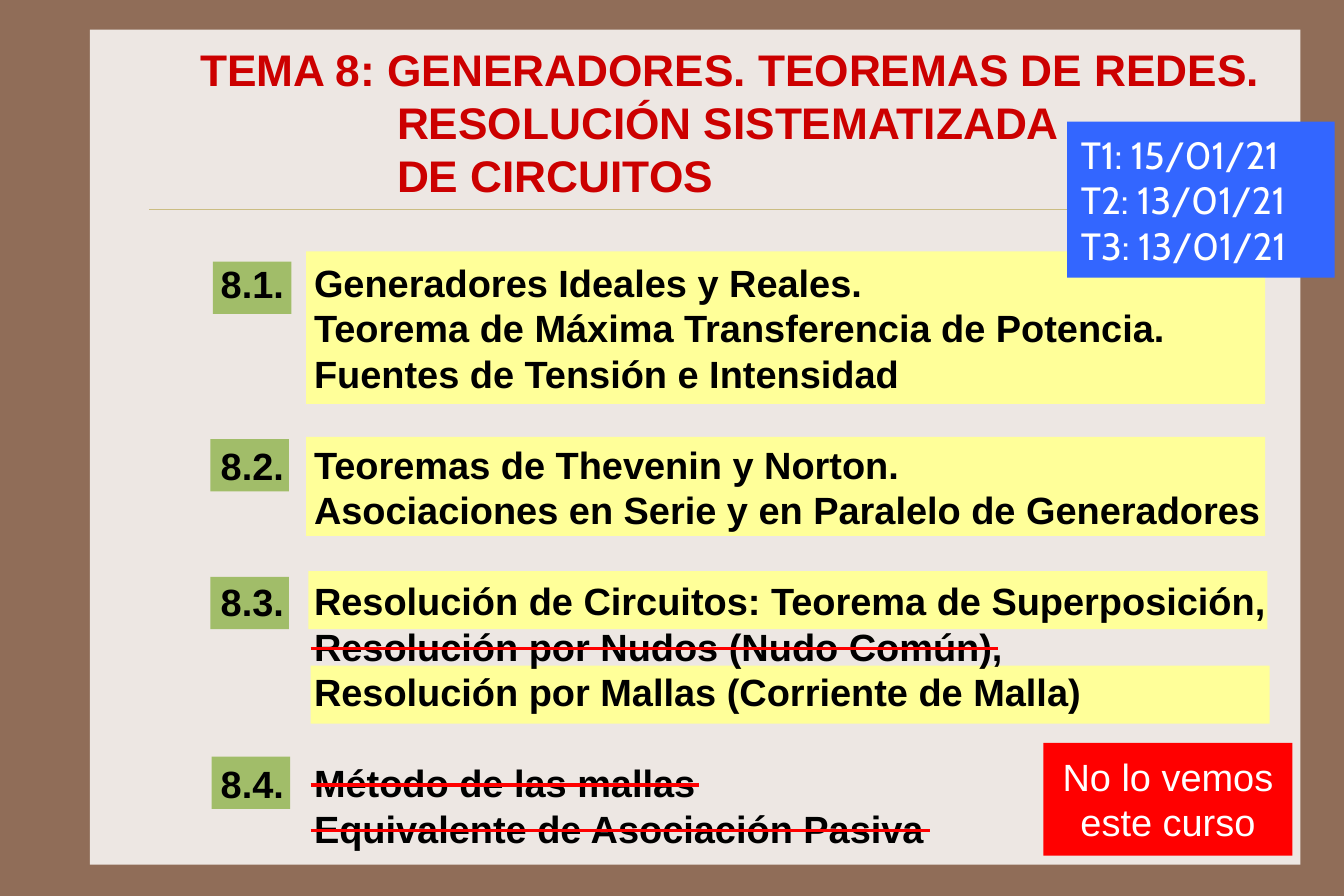
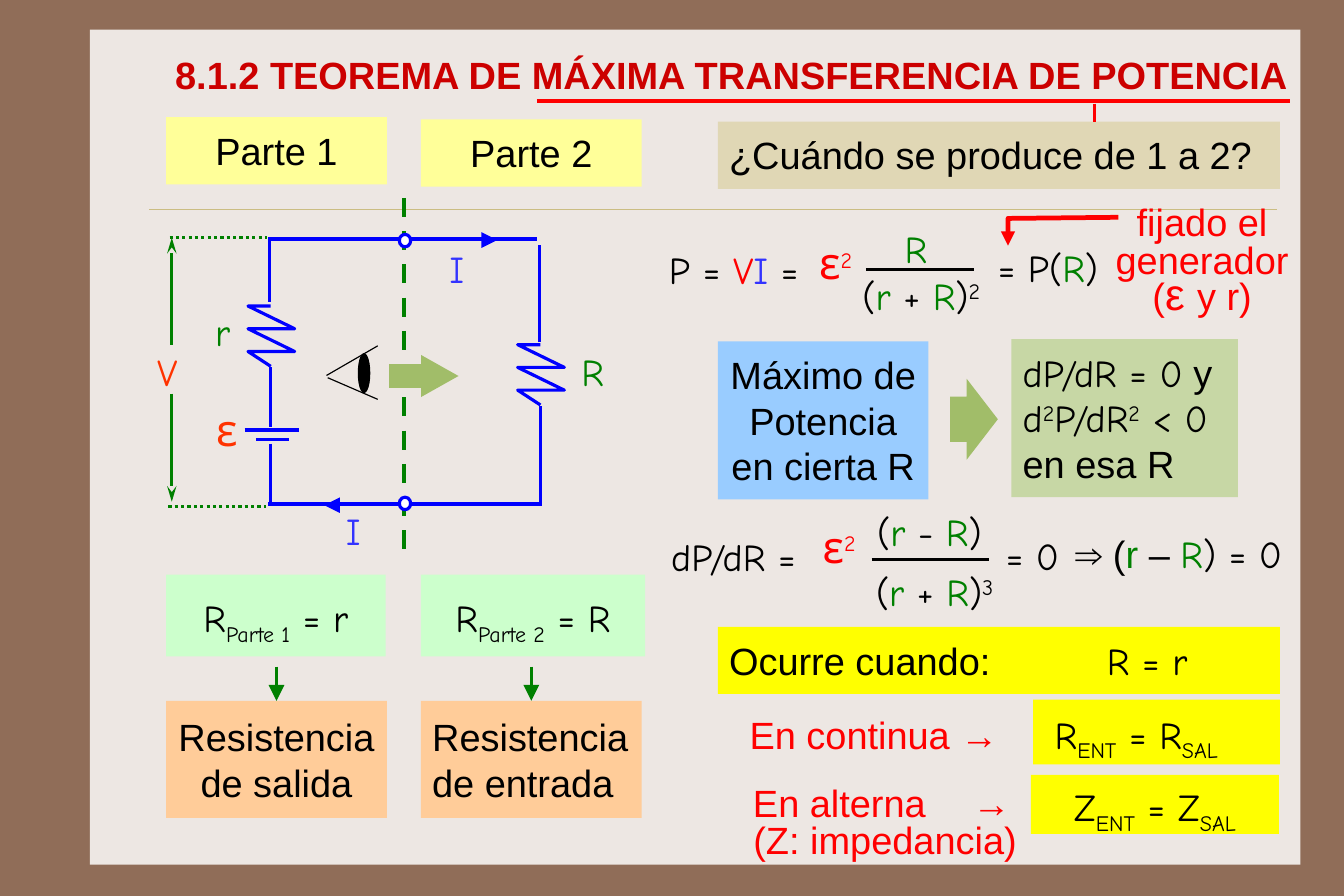
"""Build two slides on generators and the maximum power transfer theorem."""
from dataclasses import dataclass
from typing import NamedTuple, Optional, Union

from lxml import etree
from pptx import Presentation
from pptx.dml.color import RGBColor
from pptx.enum.dml import MSO_LINE
from pptx.enum.shapes import MSO_CONNECTOR, MSO_SHAPE
from pptx.enum.text import MSO_ANCHOR, PP_ALIGN
from pptx.oxml.ns import qn
from pptx.util import Inches, Pt

STRAIGHT = MSO_CONNECTOR.STRAIGHT
RECTANGLE, ELLIPSE, ARROW = MSO_SHAPE.RECTANGLE, MSO_SHAPE.OVAL, MSO_SHAPE.RIGHT_ARROW
LEFT, CENTER = PP_ALIGN.LEFT, PP_ALIGN.CENTER
TOP, MIDDLE = MSO_ANCHOR.TOP, MSO_ANCHOR.MIDDLE
DASH, DOTS = MSO_LINE.DASH, MSO_LINE.ROUND_DOT

CELL = Inches(0.1)
SLIDE_WIDTH, SLIDE_HEIGHT = Pt(850.5), Pt(567)
LEADING = 1.2
SANS, COMIC, CABIN = "Arial", "Comic Neue", "Cabin"
COLORS = {
    "frame": "906D58", "panel": "EDE7E3", "rule": "CBBD83", "title": "CC0000", "ink": "000000",
    "white": "FFFFFF", "red": "FF0000", "orange": "FF3300", "green": "008000", "wire": "0000FF",
    "current": "3333FF", "olive": "A1BD69", "pale yellow": "FFFF99", "yellow": "FFFF00",
    "dates": "3366FF", "mint": "CCFFCC", "peach": "FFCC99", "sand": "E0D7B5", "sage": "C7D7A5",
    "sky": "99CCFF",
}


class Run(NamedTuple):
    """Text whose unset values come from its label."""
    text: str
    color: Optional[str] = None
    font: Optional[str] = None
    size: Optional[int] = None
    baseline: int = 0


class Line(NamedTuple):
    """A paragraph with its own spacing."""
    runs: tuple
    gap: int = 0
    indent: float = 0
    spacing: Optional[float] = None
    tab: float = 0


@dataclass
class Label:
    """A text in a box of grid cells, on a rectangle when fill is set."""
    box: tuple
    lines: tuple[Union[str, Line], ...]
    fill: Optional[str] = None
    color: str = "ink"
    font: str = SANS
    size: int = 24
    bold: bool = False
    align: PP_ALIGN = LEFT
    anchor: MSO_ANCHOR = TOP
    insets: tuple = (1, 0.9)
    wrap: bool = False


def color_of(name: str) -> RGBColor:
    """Look up a named colour."""
    return RGBColor.from_string(COLORS[name])


def cells(*values: float) -> list[int]:
    """Turn grid cells into lengths."""
    return [int(round(value * CELL)) for value in values]


def style_line(shape, color: str, width: float, head: tuple = ()) -> None:
    """Set the colour, width and arrowhead of a line."""
    shape.line.color.rgb = color_of(color)
    shape.line.width = Pt(width)
    if head:
        etree.SubElement(shape.line._get_or_add_ln(), qn("a:tailEnd"), dict(zip(("type", "w", "len"), head)))


def draw_shape(slide, kind, box: tuple, fill: str, outline: float = 0, color: str = "ink", adjustments=()):
    """Draw a flat preset shape."""
    shape = slide.shapes.add_shape(kind, *cells(*box))
    shape.shadow.inherit = False
    shape.fill.solid()
    shape.fill.fore_color.rgb = color_of(fill)
    if outline:
        style_line(shape, color, outline)
    else:
        shape.line.fill.background()
    for index, value in enumerate(adjustments):
        shape.adjustments[index] = value
    return shape


def draw_wire(slide, start: tuple, end: tuple, color="wire", width: float = 2, dash=None, head=()):
    """Draw a straight connector."""
    connector = slide.shapes.add_connector(STRAIGHT, *cells(*start, *end))
    etree.SubElement(connector._element.spPr, qn("a:effectLst"))
    if dash:
        connector.line.dash_style = dash
    style_line(connector, color, width, head)
    return connector


def draw_outline(slide, points: list, color: str, width: float, head: tuple = ()) -> None:
    """Draw an open line through points."""
    corners = [tuple(cells(*point)) for point in points]
    builder = slide.shapes.build_freeform(*corners[0])
    shape = builder.add_line_segments(corners[1:], close=False).convert_to_shape()
    shape.shadow.inherit = False
    shape.fill.background()
    style_line(shape, color, width, head)


def fill_paragraph(paragraph, line: Line, label: Label) -> None:
    """Write the runs of one paragraph."""
    runs = [Run(run) if isinstance(run, str) else run for run in line.runs]
    leading = Pt(LEADING * max(run.size or label.size for run in runs))
    formats = {"alignment": label.align, "line_spacing": line.spacing or leading,
               "space_before": line.gap * leading}
    for name, value in formats.items():
        setattr(paragraph, name, value)
    properties = paragraph._p.get_or_add_pPr()
    if line.indent:
        properties.set("marL", str(cells(line.indent)[0]))
    if line.tab:
        tabs = etree.SubElement(properties, qn("a:tabLst"))
        etree.SubElement(tabs, qn("a:tab"), pos=str(cells(line.tab)[0]), algn="l")
    for run in runs:
        piece = paragraph.add_run()
        piece.text = run.text
        formats = {"name": run.font or label.font, "size": Pt(run.size or label.size), "bold": label.bold}
        for name, value in formats.items():
            setattr(piece.font, name, value)
        piece.font.color.rgb = color_of(run.color or label.color)
        if run.baseline:
            piece._r.get_or_add_rPr().set("baseline", str(run.baseline * 1000))


def draw_label(slide, label: Label):
    """Draw a label and return its shape."""
    if label.fill:
        shape = draw_shape(slide, RECTANGLE, label.box, label.fill)
    else:
        shape = slide.shapes.add_textbox(*cells(*label.box))
    frame = shape.text_frame
    side, edge = cells(*label.insets)
    formats = {"word_wrap": label.wrap, "vertical_anchor": label.anchor, "margin_left": side,
               "margin_right": side, "margin_top": edge, "margin_bottom": edge}
    for name, value in formats.items():
        setattr(frame, name, value)
    for index, line in enumerate(label.lines):
        paragraph = frame.add_paragraph() if index else frame.paragraphs[0]
        fill_paragraph(paragraph, Line((line,)) if isinstance(line, str) else line, label)
    return shape


def draw_formula(slide, left: float, top: float, width: float, *runs) -> None:
    """Draw one line of a formula."""
    draw_label(slide, Label((left, top, width, 4.9), (Line(runs),), font=COMIC, insets=(0.8, 0.4)))


def add_framed_slide(presentation, title_box: tuple, size: int, *title):
    """Add a slide with the shared frame, panel, rule and title style."""
    slide = presentation.slides.add_slide(presentation.slide_layouts[6])
    slide.background.fill.solid()
    slide.background.fill.fore_color.rgb = color_of("frame")
    draw_shape(slide, RECTANGLE, (7.9, 2.6, 106.4, 73.4), "panel")
    draw_wire(slide, (13.1, 18.4), (112.2, 18.4), "rule", 0.25)
    draw_label(slide, Label(title_box, title, color="title", size=size, bold=True, anchor=MIDDLE,
                            insets=(1.1, 0.5), wrap=True))
    return slide


def build_contents(presentation) -> None:
    """Build the slide with the contents of the unit."""
    slide = add_framed_slide(
        presentation, (16.5, 3.1, 97.3, 15.2), 28, "TEMA 8: GENERADORES. TEOREMAS DE REDES.",
        Line(("RESOLUCIÓN SISTEMATIZADA",), indent=17.3), Line(("DE CIRCUITOS",), indent=17.3))
    for left, top, height in ((27.3, 58.5, 5.1), (27.1, 50.2, 5.1), (26.9, 22.1, 13.4), (26.9, 38.4, 8.7)):
        draw_shape(slide, RECTANGLE, (left, top, 84.3, height), "pale yellow")
    for left, top in ((18.6, 66.5), (18.5, 50.7), (18.5, 38.6), (18.7, 23)):
        draw_shape(slide, RECTANGLE, (left, top, 6.9, 4.6), "olive")
    numbers = tuple(Line((f"8.{index}.",), gap) for index, gap in enumerate((0, 3, 2, 3), start=1))
    topics = (
        "Generadores Ideales y Reales.",
        "Teorema de Máxima Transferencia de Potencia. Fuentes de Tensión e Intensidad",
        Line(("Teoremas de Thevenin y Norton.",), 1),
        "Asociaciones en Serie y en Paralelo de Generadores",
        Line(("Resolución de Circuitos: Teorema de Superposición,",), 1),
        "Resolución por Nudos (Nudo Común),",
        "Resolución por Mallas (Corriente de Malla)",
        Line(("Método de las mallas",), 1),
        "Equivalente de Asociación Pasiva",
    )
    for box, lines in (((18.3, 22.4, 8.2, 49.6), numbers), ((26.5, 22.3, 87.2, 53.6), topics)):
        draw_label(slide, Label(box, lines, bold=True, insets=(1.1, 0.5), wrap=True))
    draw_label(slide, Label((93.8, 10.7, 23.5, 13.7), ("T1: 15/01/21", "T2: 13/01/21", "T3: 13/01/21"),
                            "dates", "white", CABIN, anchor=MIDDLE, insets=(1.2, 0.8)))
    draw_label(slide, Label((91.7, 65.3, 21.9, 9.9), ("No lo vemos este curso",), "red", "white",
                            align=CENTER, wrap=True))
    for end, top in ((87.7, 57), (61.4, 69), (81.7, 73)):
        draw_wire(slide, (27.3, top), (end, top), "red")


def draw_circuit(slide) -> None:
    """Draw the generator, its load and the observer."""
    for start, end in (
            ((35.4, 21), (47.2, 21)), ((35.8, 44.3), (47.6, 44.3)), ((47.5, 44.3), (47.5, 35.7)),
            ((47.4, 30.1), (47.4, 21.5)), ((23.6, 44.3), (35.4, 44.3)), ((23.6, 21), (35.4, 21)),
            ((21.5, 37.8), (26.3, 37.8)), ((22.5, 38.6), (25.4, 38.6)), ((23.8, 37.5), (23.8, 32.3)),
            ((23.8, 39), (23.8, 44.3)), ((23.7, 26.5), (23.7, 21.2))):
        draw_wire(slide, start, end)
    for start, end in (((42.7, 21.1), (43.7, 21.1)), ((29.1, 44.4), (28.5, 44.4))):
        draw_wire(slide, start, end, width=1, head=("triangle", "lg", "lg"))
    for top, left, start, end in ((20.9, 14.9, 30.3, 20.9), (44.5, 14.8, 34.6, 44.1)):
        draw_wire(slide, (left, top), (left + 8.6, top), "green", dash=DOTS)
        draw_wire(slide, (15.1, start), (15.1, end), "green", head=("stealth", "med", "lg"))
    for center, top in ((47.5, 30.3), (23.8, 26.9)):
        zigzag = [(center + side, top + 2 * step) for step in range(3)
                  for side in ((2.1, -2) if step else (0, -2))]
        draw_outline(slide, zigzag + [(center, top + 5.3)], "wire", 2)
    for top in (20.6, 43.7):
        draw_shape(slide, ELLIPSE, (35.1, top, 1, 1.1), "white", 2, "wire")
    for left, top, run in (
            (50.3, 30.2, Run("R", "green")), (18.2, 35, Run("ε", "orange", size=28)),
            (18.1, 26.7, Run("r", "green")), (13, 30.2, Run("V", "orange")),
            (38.7, 21.2, Run("I", "current")), (29.6, 44.2, Run("I", "current"))):
        draw_formula(slide, left, top, 3.8, run)
    draw_shape(slide, ARROW, (34.2, 31.2, 6.1, 3.7), "olive", adjustments=(0.56, 0.89))
    for start, end in (((33.2, 30.4), (28.7, 33)), ((28.8, 33.2), (33.2, 35.1))):
        draw_wire(slide, start, end, "ink", 0.75)
    draw_shape(slide, ELLIPSE, (31.5, 31.1, 1, 3.4), "ink", 0.75)


def bracket(sign: str, *power: Run) -> tuple:
    """Give the runs of a bracketed sum of both resistances."""
    return ("(", Run("r ", "green"), f"{sign} ", Run("R", "green"), ")", *power)


def draw_formulas(slide) -> None:
    """Draw the power and its derivative."""
    resistance = Run("R", "green")
    draw_formula(slide, 58, 21.3, 15.9, "P = ", Run("V", "red"), Run("I", "current"), " =")
    draw_formula(slide, 78.7, 19.4, 4.1, resistance)
    draw_formula(slide, 75, 23.6, 12.9, *bracket("+", Run("2", baseline=30)))
    draw_formula(slide, 86.9, 21.1, 10.7, "= P(", resistance, ")")
    draw_formula(slide, 58.2, 46.5, 14.3, "dP/dR =")
    draw_formula(slide, 76.3, 44.3, 11.3, *bracket("-"))
    draw_formula(slide, 76.2, 49.6, 12.9, *bracket("+", Run("3", baseline=30)))
    draw_formula(slide, 87.6, 46.4, 6.5, "= 0")
    draw_formula(slide, 93.7, 46.2, 21.3, Run("⇒ (", font=SANS), Run("r", "green", SANS),
                 Run(" – ", font=SANS), resistance, ") = 0")
    for left, top, start, end, level in ((71.2, 20.3, 76.1, 85.6, 23.7), (71.5, 45.2, 76.6, 86.9, 49.2)):
        draw_formula(slide, left, top, 4.8, Run("ε", "red", size=28), Run("2", "red", baseline=30))
        draw_wire(slide, (start, level), (end, level), "ink")


def draw_parts(slide) -> None:
    """Draw the headings and resistances of both parts."""
    for left, top, name, symbol, width, role, align in (
            (14.6, 10.3, "Parte 1", "r", 19.3, "salida", CENTER),
            (37, 10.5, "Parte 2", "R", 19.7, "entrada", LEFT)):
        draw_label(slide, Label((left, top, 19.4, 5.9), (name,), "pale yellow", align=CENTER))
        equation = Line(("R", Run(name, baseline=-25), f" = {symbol}"), spacing=1.2)
        draw_label(slide, Label((left, 50.5, width, 7.2), (equation,), "mint", font=COMIC, align=CENTER,
                                anchor=MIDDLE, insets=(1.2, 0.6), wrap=True))
        result = draw_label(slide, Label((left, 61.6, 19.4, 10.3), ("Resistencia", f"de {role}"), "peach",
                                         align=align, anchor=MIDDLE))
        arrow = draw_wire(slide, (left + 9.7, 58.6), (left + 9.7, 61.6), "green", head=("triangle", "lg", "lg"))
        arrow.end_connect(result, 0)


def matching(symbol: str) -> Line:
    """Give the equality of input and output values."""
    return Line((symbol, Run("ENT", baseline=-25), f" = {symbol}", Run("SAL", baseline=-25)), spacing=1.2)


def build_theorem(presentation) -> None:
    """Build the slide on maximum power transfer."""
    slide = add_framed_slide(presentation, (14.3, 4, 101.8, 5.1), 24,
                             "8.1.2 TEOREMA DE MÁXIMA TRANSFERENCIA DE POTENCIA")
    draw_wire(slide, (35.5, 17.4), (35.5, 49.5), "green", 3, DASH)
    for draw in (draw_circuit, draw_parts, draw_formulas):
        draw(slide)
    squared = Run("2", baseline=30)
    conditions = (Line(("dP/dR = 0", Run(" y", font=SANS))), Line(("d", squared, "P/dR", squared, " < 0")),
                  Line((Run("en esa R", font=SANS),)))
    answer = Line(("Ocurre cuando:\t", Run("R = r", font=COMIC)), tab=33.2)
    fixed = Line(("fijado el generador (", Run("ε ", size=28), "y r)"), spacing=Pt(24))
    wrapped = {"wrap": True, "color": "red"}
    formula = {"wrap": True, "font": COMIC, "anchor": MIDDLE}
    for label in (
            Label((63.1, 10.7, 49.4, 5.9), ("¿Cuándo se produce de 1 a 2?",), "sand"),
            Label((63.1, 30, 18.5, 13.9), ("Máximo de", "Potencia", "en cierta R"), "sky", align=CENTER),
            Label((88.9, 29.8, 19.9, 13.9), conditions, "sage", font=COMIC),
            Label((63.1, 55.1, 49.4, 5.9), (answer,), "yellow", anchor=MIDDLE, wrap=True),
            Label((90.8, 61.5, 21.7, 5.7), (matching("R"),), "yellow", insets=(1.9, 0.5), **formula),
            Label((90.6, 68.1, 21.8, 5.2), (matching("Z"),), "yellow", align=CENTER, **formula),
            Label((64.9, 61.6, 25, 5.9), ("En continua →",), **wrapped),
            Label((65.2, 67.6, 26, 5.9), (Line(("En alterna\t→",), tab=19.3),), **wrapped),
            Label((64.6, 70.9, 26.4, 5.9), ("(Z: impedancia)",), align=CENTER, **wrapped),
            Label((96.9, 17.2, 17.5, 12), (fixed,), align=CENTER, **wrapped)):
        draw_label(slide, label)
    draw_outline(slide, [(98.3, 19.1), (88.6, 19.2), (88.6, 21.6)], "red", 3, ("triangle",))
    draw_shape(slide, ARROW, (83.5, 33.3, 4.2, 7.1), "olive", adjustments=(0.56, 0.65))
    for start, end in (((47.2, 8.9), (113.4, 8.9)), ((96.2, 9.1), (96.2, 10.7))):
        draw_wire(slide, start, end, "red", 2.25)


presentation = Presentation()
presentation.slide_width, presentation.slide_height = SLIDE_WIDTH, SLIDE_HEIGHT
build_contents(presentation)
build_theorem(presentation)
presentation.save("out.pptx")
